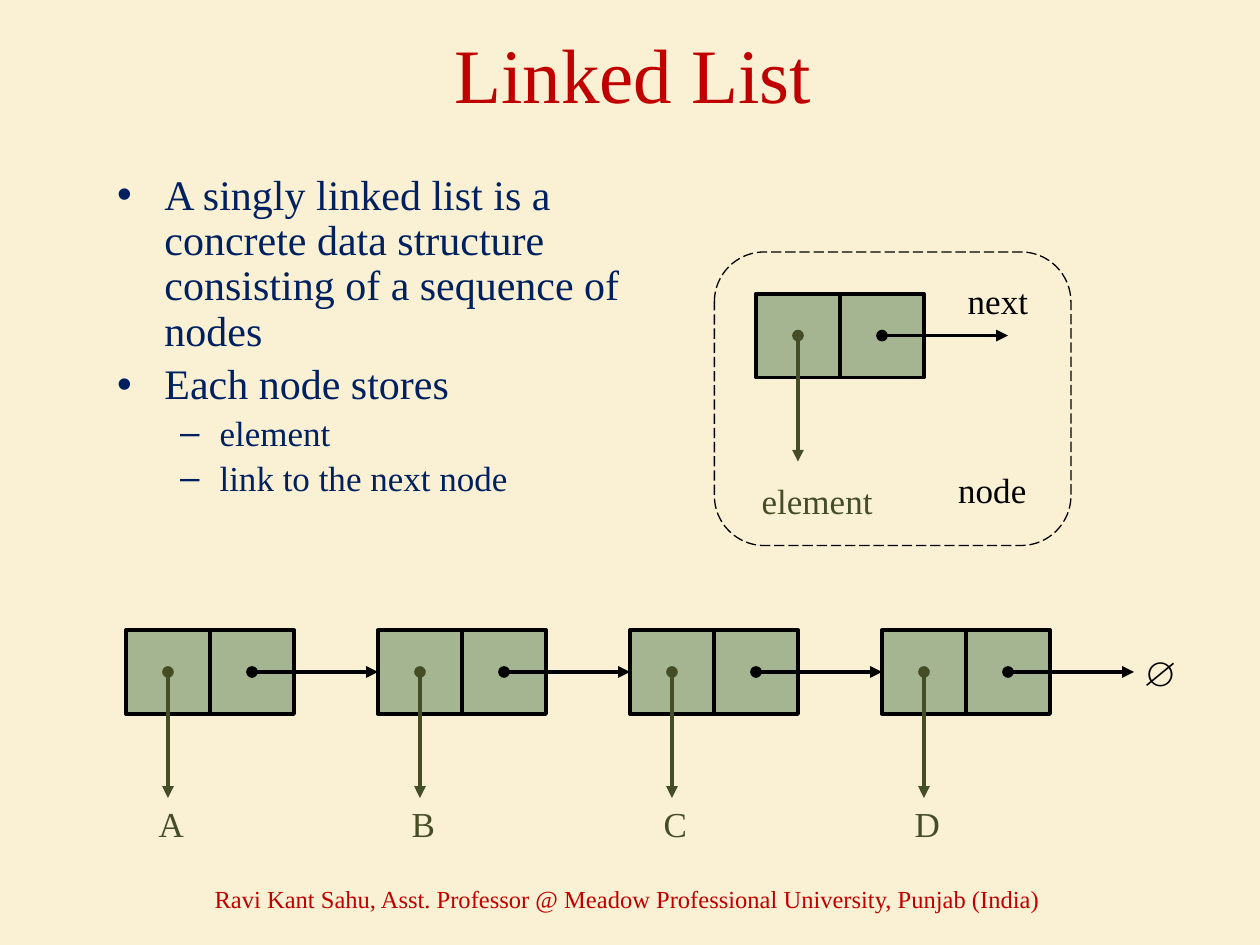
import lxml.etree
import pptx
import pptx.dml.color
import pptx.enum.dml
import pptx.enum.shapes
import pptx.enum.text
import pptx.oxml.ns
import pptx.util

Inches = pptx.util.Inches
Pt = pptx.util.Pt
RGBColor = pptx.dml.color.RGBColor
Shape = pptx.enum.shapes.MSO_SHAPE
Anchor = pptx.enum.text.MSO_ANCHOR
AutoSize = pptx.enum.text.MSO_AUTO_SIZE
CENTER = pptx.enum.text.PP_ALIGN.CENTER

CREAM = RGBColor(0xFA, 0xF1, 0xD4)
RED = RGBColor(0xC0, 0x00, 0x00)
NAVY = RGBColor(0x00, 0x20, 0x60)
SAGE = RGBColor(0xA5, 0xB5, 0x92)
OLIVE = RGBColor(0x44, 0x4D, 0x26)
BLACK = RGBColor(0x00, 0x00, 0x00)

FONT = "Times New Roman"
CELL = 2 / 3
POINTER = 1
NODE_PITCH = 2
LIST_LEFT, LIST_TOP = 1, 5

BULLETS = [
    (0, 24, "A singly linked list is a concrete data structure "
            "consisting of a sequence of nodes"),
    (0, 24, "Each node stores"),
    (1, 20, "element"),
    (1, 20, "link to the next node"),
]


def place(shape, left, top, width, height):
    shape.left, shape.top = Inches(left), Inches(top)
    shape.width, shape.height = Inches(width), Inches(height)


def add_run(paragraph, text, size, color, bold=None):
    run = paragraph.add_run()
    run.text = text
    run.font.name = FONT
    run.font.size = Pt(size)
    run.font.color.rgb = color
    run.font.bold = bold


def add_title(slide, text):
    title = slide.shapes.title
    place(title, 0.55, 0, 8.95, 1.15)
    title.text_frame.auto_size = AutoSize.NONE
    title.text_frame.vertical_anchor = Anchor.MIDDLE
    paragraph = title.text_frame.paragraphs[0]
    paragraph.alignment = CENTER
    add_run(paragraph, text, 44, RED)


def add_bullets(slide, bullets):
    """Fill the body placeholder, whose levels bring their own bullets and indents."""
    body = slide.placeholders[1]
    place(body, 0.83, 1.33, 4.5, 2.75)
    frame = body.text_frame
    frame.auto_size = AutoSize.NONE
    for index, (level, size, text) in enumerate(bullets):
        paragraph = frame.add_paragraph() if index else frame.paragraphs[0]
        paragraph.level = level
        paragraph.line_spacing = 0.9
        add_run(paragraph, text, size, NAVY)


def add_footer(slide, text):
    box = slide.shapes.add_textbox(Inches(0.83), Inches(6.93), Inches(8.3), Inches(0.4))
    box.text_frame.word_wrap = True
    box.text_frame.vertical_anchor = Anchor.MIDDLE
    paragraph = box.text_frame.paragraphs[0]
    paragraph.alignment = CENTER
    add_run(paragraph, text, 14, RED)


def add_label(slide, text, left, top, width, color, bold=None):
    box = slide.shapes.add_textbox(Inches(left), Inches(top), Inches(width), Inches(0.44))
    box.text_frame.word_wrap = False
    box.text_frame.auto_size = AutoSize.SHAPE_TO_FIT_TEXT
    paragraph = box.text_frame.paragraphs[0]
    paragraph.alignment = CENTER
    add_run(paragraph, text, 20, color, bold)


def add_cell(slide, left, top):
    cell = slide.shapes.add_shape(
        Shape.RECTANGLE, Inches(left), Inches(top), Inches(CELL), Inches(CELL))
    cell.shadow.inherit = False
    cell.fill.solid()
    cell.fill.fore_color.rgb = SAGE
    cell.line.color.rgb = BLACK
    cell.line.width = Pt(2.25)


def add_pointer(slide, left, top, right, bottom, color):
    """Draw a line with a dot at its start and an arrowhead at its end."""
    pointer = slide.shapes.add_connector(
        pptx.enum.shapes.MSO_CONNECTOR.STRAIGHT,
        Inches(left), Inches(top), Inches(right), Inches(bottom))
    pointer.line.color.rgb = color
    pointer.line.width = Pt(2.25)
    line = pointer.line._get_or_add_ln()
    for tag, kind in (("a:headEnd", "oval"), ("a:tailEnd", "triangle")):
        lxml.etree.SubElement(line, pptx.oxml.ns.qn(tag), type=kind)
    lxml.etree.SubElement(pointer._element.spPr, pptx.oxml.ns.qn("a:effectLst"))


def add_node(slide, left, top):
    """Draw the element and link cells with the pointer that leaves each."""
    add_cell(slide, left, top)
    add_cell(slide, left + CELL, top)
    middle = top + CELL / 2
    element = left + CELL / 2
    link = element + CELL
    add_pointer(slide, element, middle, element, middle + POINTER, OLIVE)
    add_pointer(slide, link, middle, link + POINTER, middle, BLACK)


def add_node_frame(slide):
    frame = slide.shapes.add_shape(
        Shape.ROUNDED_RECTANGLE, Inches(5.67), Inches(2), Inches(2.83), Inches(2.33))
    frame.adjustments[0] = 0.17
    frame.shadow.inherit = False
    frame.fill.background()
    frame.line.color.rgb = BLACK
    frame.line.width = Pt(0.75)
    frame.line.dash_style = pptx.enum.dml.MSO_LINE.LONG_DASH


def add_node_legend(slide):
    add_node_frame(slide)
    add_node(slide, 6, 2.33)
    add_label(slide, "next", 7.58, 2.17, 0.68, BLACK)
    add_label(slide, "element", 5.94, 3.76, 1.09, OLIVE)
    add_label(slide, "node", 7.5, 3.67, 0.75, BLACK)


def add_linked_list(slide, elements):
    for index, element in enumerate(elements):
        left = LIST_LEFT + index * NODE_PITCH
        add_node(slide, left, LIST_TOP)
        add_label(slide, element, left + 0.16, 6.32, 0.4, OLIVE)
    add_label(slide, "∅", 8.97, 5.12, 0.43, BLACK, bold=True)


def main():
    presentation = pptx.Presentation()
    presentation.slide_width = Inches(10)
    presentation.slide_height = Inches(7.5)
    slide = presentation.slides.add_slide(presentation.slide_layouts[1])
    slide.background.fill.solid()
    slide.background.fill.fore_color.rgb = CREAM

    add_title(slide, "Linked List")
    add_footer(slide, "Ravi Kant Sahu, Asst. Professor @ "
                      "Meadow Professional University, Punjab (India)")
    add_bullets(slide, BULLETS)
    add_node_legend(slide)
    add_linked_list(slide, "ABCD")
    presentation.save("out.pptx")


if __name__ == "__main__":
    main()
